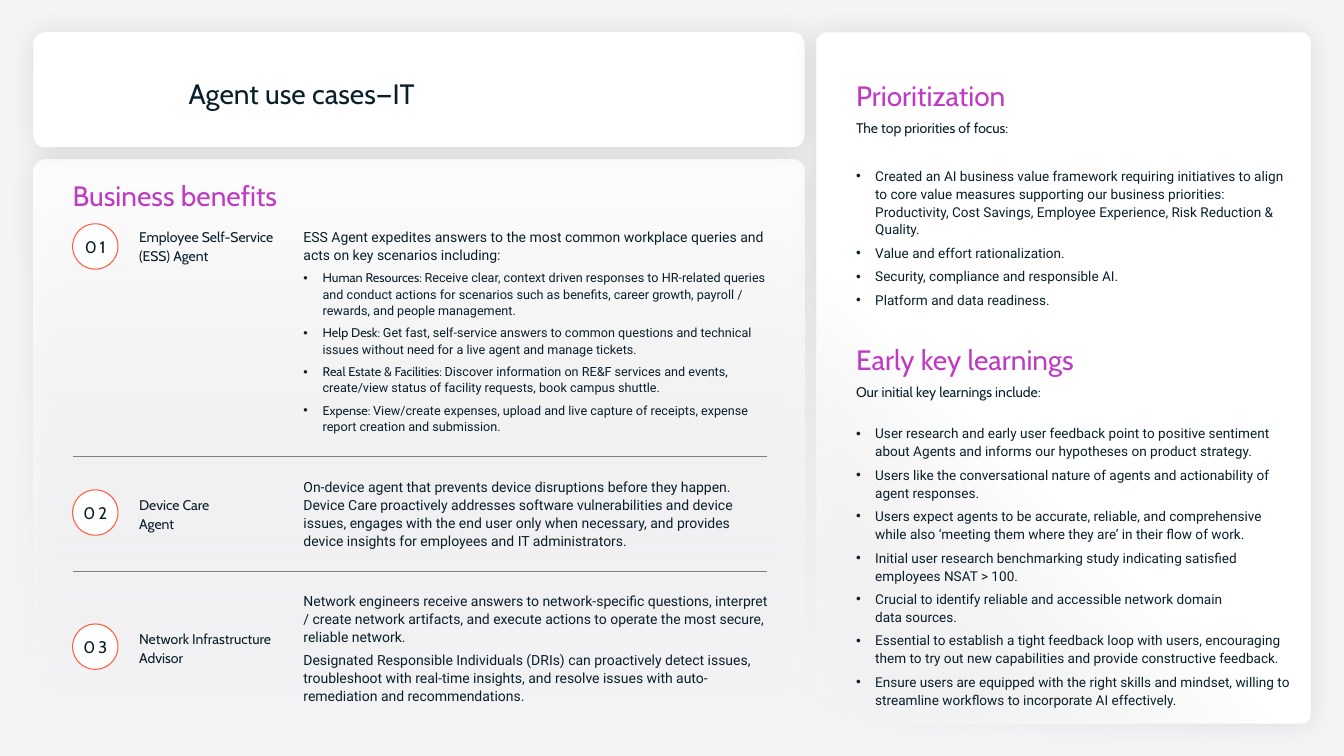
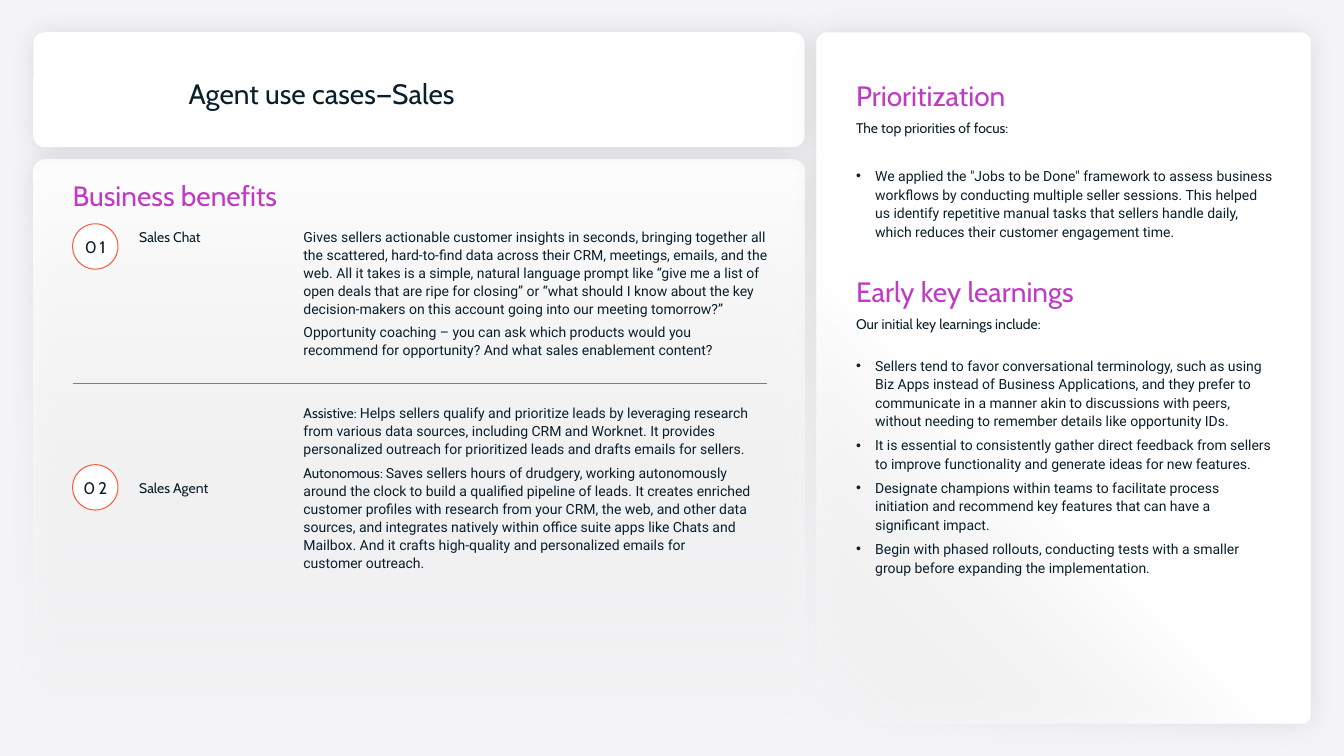
from copy import deepcopy
from dataclasses import dataclass

from lxml.etree import SubElement
from pptx import Presentation
from pptx.dml.color import RGBColor as RGB
from pptx.enum.shapes import MSO_SHAPE as SHAPE
from pptx.enum.text import MSO_ANCHOR as ANCHOR, MSO_AUTO_SIZE as AUTO, PP_ALIGN as ALIGN
from pptx.oxml import parse_xml
from pptx.oxml.ns import nsdecls, qn
from pptx.util import Inches, Pt


@dataclass(frozen=True)
class Theme:
    page: str = "F4F3F5"
    white: str = "FFFFFF"
    ink: str = "091F2C"
    accent: str = "C03BC4"
    ring: str = "FF5C39"
    rule: str = "808080"
    shadow: str = "000000"
    head: str = "Cabin"
    body: str = "Roboto"
    title_size: float = 20
    text_size: float = 10
    small_size: float = 9
    badge_size: float = 12


T = Theme()
Box = tuple[float, float, float, float]


@dataclass(frozen=True)
class Panel:
    box: Box
    radius: float
    fade_from: int = 0
    angle: int | None = None


@dataclass(frozen=True)
class Para:
    text: str
    lead: str = ""
    bullet: bool = False
    size: float = T.text_size


@dataclass(frozen=True)
class UseCase:
    label: str
    height: float
    badge_top: float
    paras: list[Para]


@dataclass(frozen=True)
class Page:
    title: str
    cases: list[UseCase]
    priorities: list[str]
    learnings: list[str]
    side_width: float
    side_size: float


PANELS = [
    Panel((0.33, 1.58, 7.65, 5.6), 0.02, 0, 270),
    Panel((0.33, 0.32, 7.65, 1.14), 0.1),
    Panel((8.1, 0.32, 4.9, 6.86), 0.02, 61, 225),
]
COLUMNS = [0.56, 1.63, 4.7]
LEFT, TABLE_TOP, BADGE = 0.72, 2.11, 0.45

PAGES = [
    Page(
        "Agent use cases—IT",
        [
            UseCase("Employee Self-Service (ESS) Agent", 2.42, 2.22, [
                Para("ESS Agent expedites answers to the most common workplace queries and "
                     "acts on key scenarios including:"),
                Para("Receive clear, context driven responses to HR-related queries and conduct "
                     "actions for scenarios such as benefits, career growth, payroll / rewards, "
                     "and people management.", "Human Resources: ", True, T.small_size),
                Para("Get fast, self-service answers to common questions and technical issues "
                     "without need for a live agent and manage tickets.",
                     "Help Desk: ", True, T.small_size),
                Para("Discover information on RE&F services and events, create/view status of "
                     "facility requests, book campus shuttle.",
                     "Real Estate & Facilities: ", True, T.small_size),
                Para("View/create expenses, upload and live capture of receipts, expense report "
                     "creation and submission.", "Expense: ", True, T.small_size),
            ]),
            UseCase("Device Care \nAgent", 1.14, 4.86, [
                Para("On-device agent that prevents device disruptions before they happen. Device "
                     "Care proactively addresses software vulnerabilities and device issues, "
                     "engages with the end user only when necessary, and provides device insights "
                     "for employees and IT administrators."),
            ]),
            UseCase("Network Infrastructure Advisor", 1.51, 6.19, [
                Para("Network engineers receive answers to network-specific questions, interpret / "
                     "create network artifacts, and execute actions to operate the most secure, "
                     "reliable network."),
                Para("Designated Responsible Individuals (DRIs) can proactively detect issues, "
                     "troubleshoot with real-time insights, and resolve issues with "
                     "auto-remediation and recommendations."),
            ]),
        ],
        [
            "Created an AI business value framework requiring initiatives to align to core value "
            "measures supporting our business priorities: Productivity, Cost Savings, Employee "
            "Experience, Risk Reduction & Quality.",
            "Value and effort rationalization.",
            "Security, compliance and responsible AI.",
            "Platform and data readiness.",
        ],
        [
            "User research and early user feedback point to positive sentiment about Agents and "
            "informs our hypotheses on product strategy.",
            "Users like the conversational nature of agents and actionability of agent responses.",
            "Users expect agents to be accurate, reliable, and comprehensive while also ‘meeting "
            "them where they are’ in their flow of work.",
            "Initial user research benchmarking study indicating satisfied employees NSAT > 100.",
            "Crucial to identify reliable and accessible network domain \ndata sources.",
            "Essential to establish a tight feedback loop with users, encouraging them to try out "
            "new capabilities and provide constructive feedback.",
            "Ensure users are equipped with the right skills and mindset, willing to streamline "
            "workflows to incorporate AI effectively.",
        ],
        4.34, 9.7,
    ),
    Page(
        "Agent use cases—Sales",
        [
            UseCase("Sales Chat", 1.69, 2.22, [
                Para("Gives sellers actionable customer insights in seconds, bringing together all "
                     "the scattered, hard-to-find data across their CRM, meetings, emails, and the "
                     "web. All it takes is a simple, natural language prompt like “give me a list "
                     "of open deals that are ripe for closing” or “what should I know about the "
                     "key decision-makers on this account going into our meeting tomorrow?”"),
                Para("Opportunity coaching – you can ask which products would you recommend for "
                     "opportunity? And what sales enablement content?"),
            ]),
            UseCase("Sales Agent", 2.07, 4.61, [
                Para("Helps sellers qualify and prioritize leads by leveraging research from "
                     "various data sources, including CRM and Worknet. It provides personalized "
                     "outreach for prioritized leads and drafts emails for sellers.",
                     "Assistive: "),
                Para("Saves sellers hours of drudgery, working autonomously around the clock to "
                     "build a qualified pipeline of leads. It creates enriched customer profiles "
                     "with research from your CRM, the web, and other data sources, and integrates "
                     "natively within office suite apps like Chats and Mailbox. And it crafts "
                     "high-quality and personalized emails for \ncustomer outreach.",
                     "Autonomous: "),
            ]),
        ],
        [
            'We applied the "Jobs to be Done" framework to assess business workflows by conducting '
            "multiple seller sessions. This helped us identify repetitive manual tasks that "
            "sellers handle daily, which reduces their customer engagement time.",
        ],
        [
            "Sellers tend to favor conversational terminology, such as using Biz Apps instead of "
            "Business Applications, and they prefer to communicate in a manner akin to discussions "
            "with peers, without needing to remember details like opportunity IDs.",
            "It is essential to consistently gather direct feedback from sellers to improve "
            "functionality and generate ideas for new features.",
            "Designate champions within teams to facilitate process initiation and recommend key "
            "features that can have a significant impact.",
            "Begin with phased rollouts, conducting tests with a smaller group before expanding "
            "the implementation.",
        ],
        4.13, T.text_size,
    ),
]


def rgb(color: str) -> RGB:
    return RGB.from_string(color)


def write(tf, text: str, *, lead: str = "", font: str = T.body, size: float = T.text_size,
          color: str = T.ink, bullet: bool = False, before: float = 0, after: float = 4,
          spacing: float = 1.1, align=ALIGN.LEFT, tracking: int = 0) -> None:
    p = tf.paragraphs[0]
    if p.runs:
        p = tf.add_paragraph()
    p.alignment, p.line_spacing = align, spacing
    p.space_before, p.space_after = Pt(before), Pt(after)
    indent = Inches(0.19) if bullet else 0
    ppr = p._p.get_or_add_pPr()
    ppr.set("marL", str(indent))
    ppr.set("indent", str(-indent))
    if bullet:
        SubElement(ppr, qn("a:buFont"), typeface="Arial")
        SubElement(ppr, qn("a:buChar"), char="•")
    else:
        SubElement(ppr, qn("a:buNone"))

    def add_run(line: str, face: str):
        r = p.add_run()
        r.text = line
        r.font.name, r.font.size = face, Pt(size)
        r.font.color.rgb = rgb(color)
        if tracking:
            r._r.rPr.set("spc", str(tracking))
        return r

    if lead:
        add_run(lead, T.head)
    for i, line in enumerate(text.split("\n")):
        if i:
            p.add_line_break()
            p._p[-1].append(deepcopy(r._r.rPr))
        r = add_run(line, font)


def frame(tf, anchor=ANCHOR.MIDDLE, wrap: bool = True):
    tf.margin_left = tf.margin_top = tf.margin_right = tf.margin_bottom = 0
    tf.auto_size, tf.word_wrap, tf.vertical_anchor = AUTO.NONE, wrap, anchor
    return tf


def place(slide, ph, box: Box):
    slide.shapes._spTree.append(ph._element)
    ph.left, ph.top, ph.width, ph.height = map(Inches, box)
    return ph.text_frame


def add_panel(slide, panel: Panel) -> None:
    sp = slide.shapes.add_shape(SHAPE.ROUNDED_RECTANGLE, *map(Inches, panel.box))
    sp.adjustments[0] = panel.radius
    if panel.angle is None:
        sp.fill.solid()
        sp.fill.fore_color.rgb = rgb(T.white)
    else:
        sp.fill.gradient()
        sp.fill.gradient_angle = panel.angle
        for stop, pos in zip(sp.fill.gradient_stops, (panel.fade_from, 100)):
            stop.color.rgb, stop.position = rgb(T.white), pos / 100
        SubElement(list(sp._element.spPr.iter(qn("a:srgbClr")))[-1], qn("a:alpha"), val="0")
    sp.line.fill.background()
    sp.shadow.inherit = False
    sp._element.spPr.find(qn("a:effectLst")).append(parse_xml(
        f'<a:outerShdw {nsdecls("a")} blurRad="{Pt(20)}" dist="0" dir="2700000" algn="ctr" '
        f'rotWithShape="0"><a:srgbClr val="{T.shadow}"><a:alpha val="10000"/></a:srgbClr>'
        '</a:outerShdw>'))


def add_badge(slide, number: int, top: float) -> None:
    sp = slide.shapes.add_shape(SHAPE.OVAL, *map(Inches, (LEFT, top, BADGE, BADGE)))
    sp.shadow.inherit = False
    sp.fill.solid()
    sp.fill.fore_color.rgb = rgb(T.white)
    sp.line.color.rgb, sp.line.width = rgb(T.ring), Pt(0.75)
    write(frame(sp.text_frame, wrap=False), f"{number:02d}", font=T.head, size=T.badge_size,
          after=0, spacing=1, align=ALIGN.CENTER, tracking=200)


def add_rule(cell, tag: str) -> None:
    cell._tc.get_or_add_tcPr().insert(0, parse_xml(
        f'<{tag} {nsdecls("a")} w="{Pt(0.5)}"><a:solidFill><a:srgbClr val="{T.rule}"/>'
        f'</a:solidFill></{tag}>'))


def add_cases(slide, cases: list[UseCase]) -> None:
    size = (sum(COLUMNS), sum(case.height for case in cases))
    table = slide.shapes.add_table(len(cases), len(COLUMNS),
                                   *map(Inches, (LEFT, TABLE_TOP, *size))).table
    table.first_row = table.horz_banding = False
    table._tbl.tblPr.find(qn("a:tableStyleId")).text = "{2D5ABB26-0587-4C30-8999-92F81FD0307C}"
    for col, width in zip(table.columns, COLUMNS):
        col.width = Inches(width)
    for i, case in enumerate(cases):
        row = table.rows[i]
        row.height = Inches(case.height)
        for j, cell in enumerate(row.cells):
            cell.fill.background()
            cell.vertical_anchor = ANCHOR.MIDDLE if i else ANCHOR.TOP
            cell.margin_left, cell.margin_right = Inches(0.1), Inches(0 if j == 2 else 0.1)
            cell.margin_top, cell.margin_bottom = Inches(0.2 if i else 0.15), Inches(0.2)
            if i < len(cases) - 1:
                add_rule(cell, "a:lnB")
            if i:
                add_rule(cell, "a:lnT")
        write(row.cells[1].text_frame, case.label, font=T.head)
        for para in case.paras:
            write(row.cells[2].text_frame, para.text, lead=para.lead, size=para.size,
                  bullet=para.bullet)


def write_heading(tf, text: str, before: float = 0) -> None:
    write(tf, text, font=T.head, size=T.title_size, color=T.accent, before=before)


def add_page(prs, page: Page) -> None:
    slide = prs.slides.add_slide(prs.slide_layouts[1])
    for panel in PANELS:
        add_panel(slide, panel)
    title = place(slide, slide.shapes.title, (1.87, 0.72, 5.26, 0.37))
    write(frame(title), page.title, font=T.head, size=T.title_size, after=0)
    benefits = slide.shapes.add_textbox(*map(Inches, (LEFT, 1.74, 6.46, 0.37)))
    write_heading(frame(benefits.text_frame), "Business benefits")
    add_cases(slide, page.cases)

    side = frame(place(slide, slide.placeholders[1], (8.49, 0.75, page.side_width, 6)), ANCHOR.TOP)
    sections = [
        ("Prioritization", "The top priorities of focus:", page.priorities, 0, 21),
        ("Early key learnings", "Our initial key learnings include:", page.learnings, 18, 17),
    ]
    for heading, intro, items, before, after in sections:
        write_heading(side, heading, before)
        write(side, intro, font=T.head, after=after)
        for item in items:
            write(side, item, size=page.side_size, bullet=True)
    for number, case in enumerate(page.cases, 1):
        add_badge(slide, number, case.badge_top)


def main() -> None:
    prs = Presentation()
    prs.slide_width, prs.slide_height = Inches(13.33), Inches(7.5)
    background = prs.slide_master.background.fill
    background.solid()
    background.fore_color.rgb = rgb(T.page)
    for page in PAGES:
        add_page(prs, page)
    prs.save("out.pptx")


if __name__ == "__main__":
    main()
